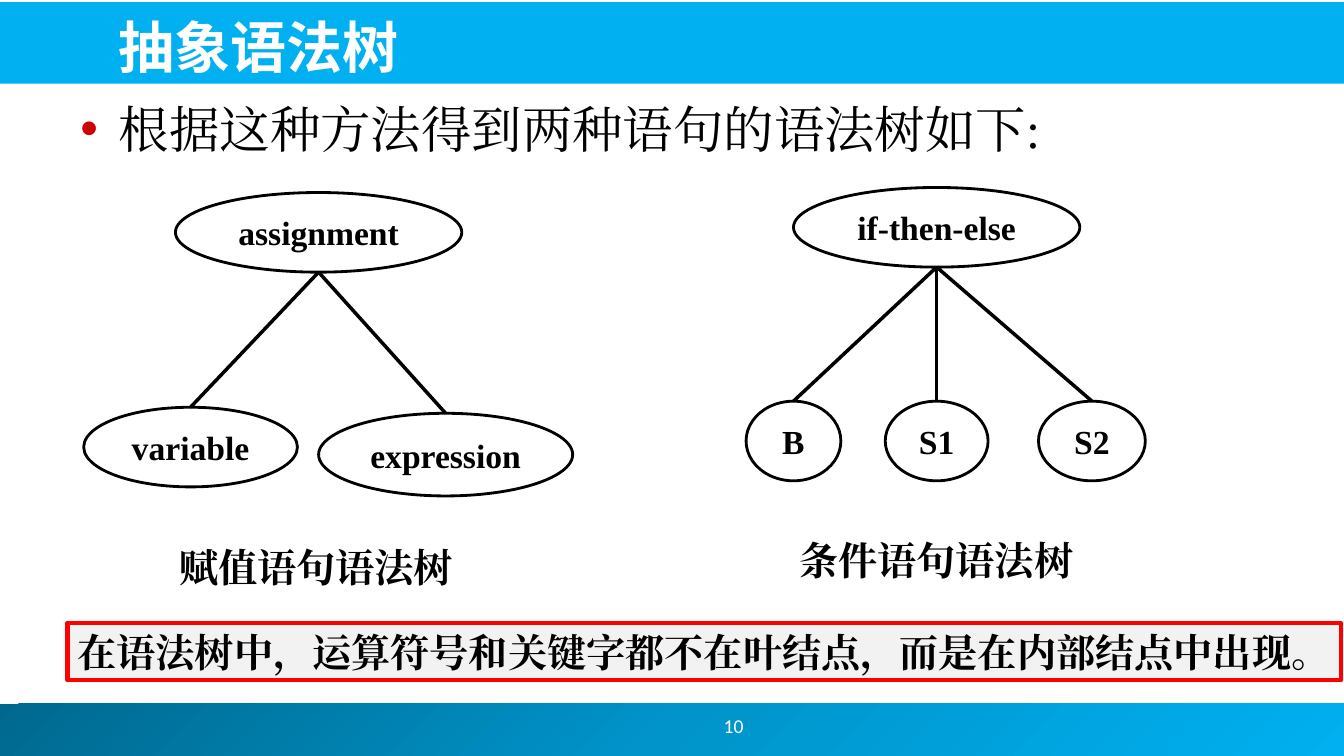
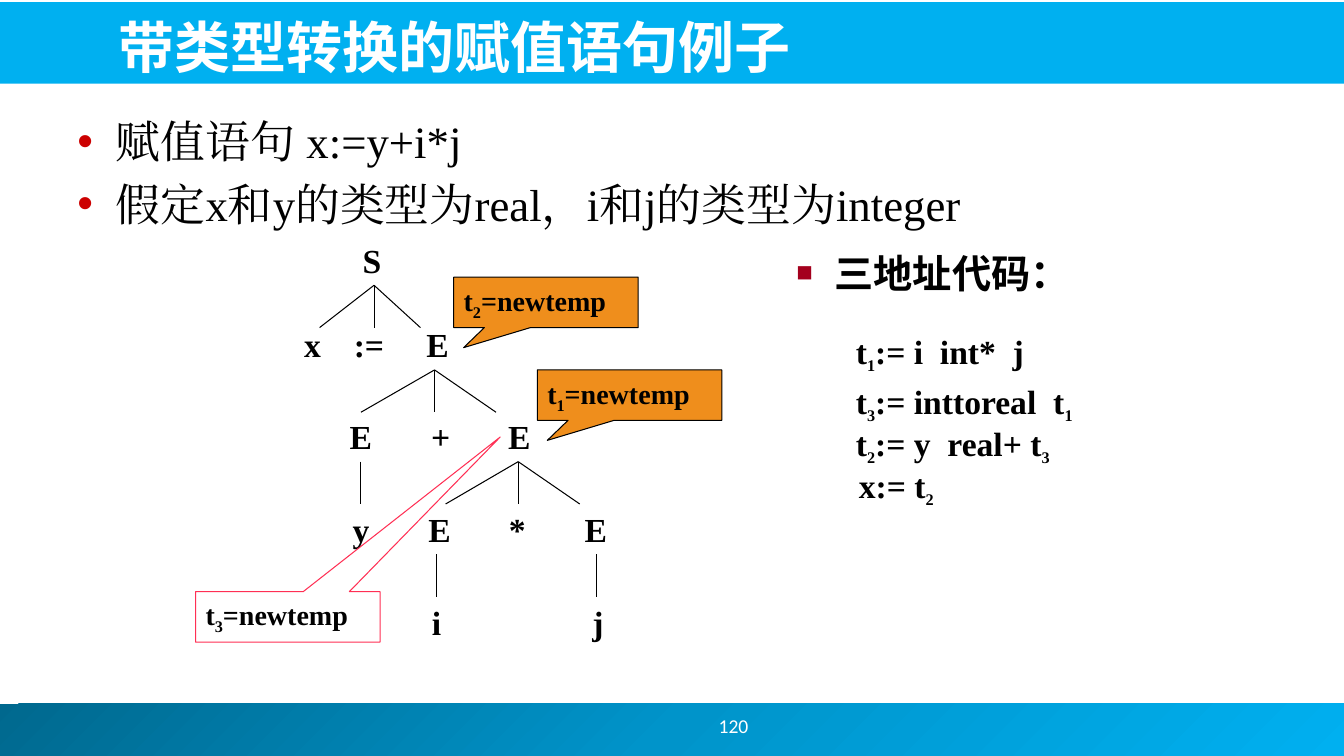
from copy import deepcopy
from dataclasses import dataclass

from lxml import etree
from pptx import Presentation
from pptx import util as u
from pptx.dml.color import RGBColor
from pptx.enum import lang, shapes, text
from pptx.oxml.ns import qn

I = u.Inches
SHAPE = shapes.MSO_SHAPE
LEFT, CENTER = text.PP_ALIGN.LEFT, text.PP_ALIGN.CENTER
TOP, MIDDLE, BOTTOM = (text.MSO_ANCHOR.TOP, text.MSO_ANCHOR.MIDDLE,
                       text.MSO_ANCHOR.BOTTOM)


@dataclass(frozen=True)
class Theme:
    # Colours
    white: str = "FFFFFF"
    ink: str = "000000"
    band: str = "00B0F0"
    footer: tuple = ((0, "00688E"), (0.5, "0094CA"), (1, "00B0F0"))
    bullet: str = "CC0000"
    square: str = "A4001D"
    note_fill: str = "F2F2F2"
    note_line: str = "FF0000"
    callout: str = "EF8E1C"
    pink: str = "FF2F54"
    # Fonts and sizes
    serif: str = "Times New Roman"
    sans: str = "Noto Sans CJK JP"
    number_font: str = "Calibri"
    title: int = 40
    body: int = 36
    body_small: int = 32
    caption: int = 28
    node: int = 24
    small: int = 20
    number: int = 14


T = Theme()


# Text
def add_bullet(p, char, color, percent):
    pPr = p._p.get_or_add_pPr()
    pPr.set("marL", str(I(0.38)))
    pPr.set("indent", str(-I(0.38)))
    clr = etree.SubElement(pPr, qn("a:buClr"))
    etree.SubElement(clr, qn("a:srgbClr"), val=color)
    etree.SubElement(pPr, qn("a:buSzPct"), val=str(percent * 1000))
    etree.SubElement(pPr, qn("a:buFont"), typeface="Arial")
    etree.SubElement(pPr, qn("a:buChar"), char=char)


def add_run(p, words, size, font, color, bold, sub=False):
    r = p.add_run()
    r.text = words
    f = r.font
    f.size, f.bold, f.name = u.Pt(size), bold, font
    f.color.rgb = RGBColor.from_string(color)
    f.language_id = lang.MSO_LANGUAGE_ID.SIMPLIFIED_CHINESE
    rPr = r._r.get_or_add_rPr()
    ea = etree.Element(qn("a:ea"), typeface=font)
    rPr.find(qn("a:latin")).addnext(ea)
    if sub:
        rPr.set("baseline", "-25000")


def write(sp, words, size=T.node, sub_size=T.small, font=T.serif, color=T.ink,
          bold=True, align=LEFT, anchor=MIDDLE, wrap=True, bullet=None):
    """Each line is a paragraph; the character after "_" is a subscript."""
    tf = sp.text_frame
    tf.word_wrap, tf.vertical_anchor = wrap, anchor
    for i, line in enumerate(words.split("\n")):
        p = tf.paragraphs[0] if i == 0 else tf.add_paragraph()
        p.alignment = align
        if bullet:
            p.space_before = u.Pt(size * 0.2)
            add_bullet(p, *bullet)
        first, *rest = line.split("_")
        add_run(p, first, size, font, color, bold)
        for part in rest:
            add_run(p, part[0], sub_size, font, color, bold, sub=True)
            if part[1:]:
                add_run(p, part[1:], size, font, color, bold)
    return sp


def add_text(s, box, words, **fmt):
    return write(s.shapes.add_textbox(*map(I, box)), words, **fmt)


# Shapes and lines
def add_shape(s, kind, box, fill=None, line=None, width=0.75):
    sp = s.shapes.add_shape(kind, *map(I, box))
    sp.shadow.inherit = False
    if fill:
        sp.fill.solid()
        sp.fill.fore_color.rgb = RGBColor.from_string(fill)
    else:
        sp.fill.background()
    if line:
        sp.line.color.rgb = RGBColor.from_string(line)
        sp.line.width = u.Pt(width)
    else:
        sp.line.fill.background()
    return sp


def add_line(s, start, end, width):
    ln = s.shapes.add_connector(shapes.MSO_CONNECTOR.STRAIGHT,
                                *map(I, (*start, *end)))
    ln.line.color.rgb = RGBColor.from_string(T.ink)
    ln.line.width = u.Pt(width)
    etree.SubElement(ln._element.spPr, qn("a:effectLst"))


def add_fan(s, top, ends, bottom, width):
    for x in ends:
        add_line(s, top, (x, bottom), width)


def add_gradient(sp, stops):
    sp.fill.gradient()
    sp.fill.gradient_angle = 315
    first = sp._element.spPr.find(".//" + qn("a:gs"))
    first.addnext(deepcopy(first))
    for stop, (position, color) in zip(sp.fill.gradient_stops, stops):
        stop.position = position
        stop.color.rgb = RGBColor.from_string(color)


def add_oval(s, box, words):
    sp = add_shape(s, SHAPE.OVAL, box, line=T.ink, width=2)
    tf = sp.text_frame
    tf.margin_left = tf.margin_right = 0
    write(sp, words, align=CENTER)


def add_oval_tree(s, root, leaves):
    """Root and leaves are (box, label) pairs."""
    (x, y, w, h), _ = root
    for box, label in (root, *leaves):
        add_oval(s, box, label)
    for (lx, ly, lw, _), _ in leaves:
        add_line(s, (x + w / 2, y + h), (lx + lw / 2, ly), 2.5)


def add_callout(s, x, y, words, tip, fill=None, line=T.ink):
    sp = add_shape(s, SHAPE.RECTANGULAR_CALLOUT, (x, y, 1.83, 0.5), fill, line)
    sp.adjustments[0], sp.adjustments[1] = tip
    write(sp, words, size=T.small)


# Shared frame
def add_slide(prs, title, number):
    s = prs.slides.add_slide(prs.slide_layouts[6])
    footer = add_shape(s, SHAPE.RECTANGLE, (-0.05, 6.98, 13.39, 0.52))
    add_gradient(footer, T.footer)
    add_shape(s, SHAPE.RECTANGLE, (-0.02, 0.02, 13.36, 0.81), T.band)
    add_text(s, (1.08, 0.05, 11.81, 0.79), title, size=T.title, font=T.sans,
             color=T.white, anchor=BOTTOM)
    add_text(s, (5.83, 6.95, 2.89, 0.5), number, size=T.number,
             font=T.number_font, color=T.white, bold=False, align=CENTER)
    return s


def add_body(s, box, words, size):
    add_text(s, box, words, size=size, bold=False, anchor=TOP,
             bullet=("•", T.bullet, 100))


def syntax_tree_slide(prs):
    s = add_slide(prs, "抽象语法树", "10")
    add_body(s, (0.7, 0.92, 11.47, 0.75), "根据这种方法得到两种语句的语法树如下:",
             T.body)

    # Two trees with captions
    add_oval_tree(s, ((1.74, 1.91, 2.84, 0.79), "assignment"),
                  [((0.83, 4.04, 2.12, 0.79), "variable"),
                   ((3.16, 4.1, 2.52, 0.82), "expression")])
    add_oval_tree(s, ((7.87, 1.86, 2.84, 0.79), "if-then-else"),
                  [((7.4, 3.98, 0.94, 0.79), "B"),
                   ((8.78, 3.98, 1.02, 0.79), "S1"),
                   ((10.3, 3.98, 1.06, 0.79), "S2")])
    for x, y, words in ((1.66, 5.34, "赋值语句语法树"),
                        (7.81, 5.27, "条件语句语法树")):
        add_text(s, (x, y, 2.95, 0.57), words, size=T.caption, align=CENTER,
                 wrap=False)

    # Conclusion
    note = add_shape(s, SHAPE.RECTANGLE, (0.67, 6.18, 12.63, 0.57),
                     T.note_fill, T.note_line, 3)
    note.text_frame.margin_right = I(0.02)
    write(note, "在语法树中，运算符号和关键字都不在叶结点，而是在内部结点中出现。",
          size=T.caption)


def conversion_slide(prs):
    s = add_slide(prs, "带类型转换的赋值语句例子", "120")
    add_body(s, (0.67, 1.08, 10.67, 1.33),
             "赋值语句 x:=y+i*j\n假定x和y的类型为real，i和j的类型为integer",
             T.body_small)
    add_text(s, (7.8, 2.42, 3.45, 0.75), "三地址代码：", size=T.caption,
             font=T.sans, anchor=TOP, bullet=("■", T.square, 70))

    # Parse tree: rows of labels by centre, then branches
    rows = (
        (2.58, (("S", 3.69),)),
        (3.41, (("x", 3.1), (":=", 3.66), ("E", 4.34))),
        (4.33, (("E", 3.58), ("+", 4.37), ("E", 5.15))),
        (5.25, (("y", 3.58), ("E", 4.36), ("*", 5.13), ("E", 5.91))),
        (6.17, (("i", 4.33), ("j", 5.93))),
    )
    for y, labels in rows:
        for words, x in labels:
            add_text(s, (x - 0.3, y - 0.25, 0.6, 0.5), words, align=CENTER)
    for x, y, ends in ((3.71, 2.83, (3.17, 3.71, 4.17)),
                       (4.31, 3.67, (3.58, 4.31, 4.92)),
                       (5.14, 4.58, (4.42, 5.14, 5.75)),
                       (3.58, 4.58, (3.58,)),
                       (4.33, 5.5, (4.33,)),
                       (5.92, 5.5, (5.92,))):
        add_fan(s, (x, y), ends, y + 0.42, 0.75)

    # Temporaries
    near_tip = (-0.446, 0.899)
    add_callout(s, 5.33, 3.67, "t_1=newtemp", near_tip, T.callout)
    add_callout(s, 4.5, 2.75, "t_2=newtemp", near_tip, T.callout)
    add_callout(s, 1.94, 5.87, "t_3=newtemp", (1.151, -3.568), line=T.pink)

    # Three-address code
    for x, y, code in ((8.39, 3.25, "t_1:= i  int*  j"),
                       (8.39, 3.75, "t_3:= inttoreal  t_1"),
                       (8.39, 4.16, "t_2:= y  real+ t_3"),
                       (8.42, 4.58, "x:= t_2")):
        add_text(s, (x, y, 3, 0.5), code)


def main():
    prs = Presentation()
    prs.slide_width, prs.slide_height = I(13.33), I(7.5)
    syntax_tree_slide(prs)
    conversion_slide(prs)
    prs.save("out.pptx")


if __name__ == "__main__":
    main()
